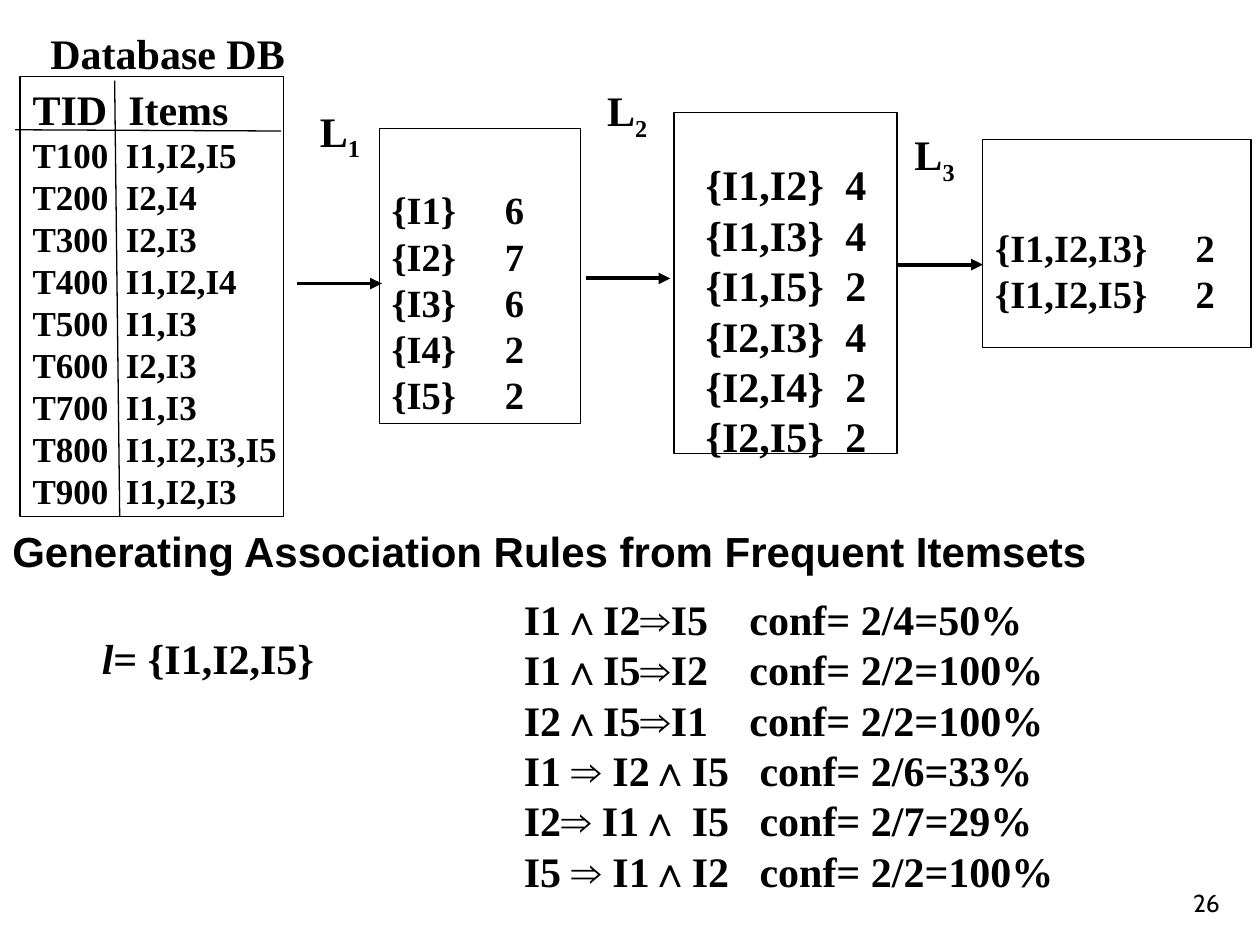
"""Build the slide on mining association rules from frequent itemsets."""
from dataclasses import dataclass

from lxml.etree import SubElement
from pptx import Presentation
from pptx.dml.color import RGBColor
from pptx.enum.shapes import MSO_CONNECTOR, MSO_SHAPE
from pptx.enum.text import MSO_ANCHOR, PP_ALIGN
from pptx.oxml.ns import qn
from pptx.slide import Slide
from pptx.text.text import TextFrame
from pptx.util import Inches, Pt

COLOURS = {"ink": "000000", "paper": "FFFFFF"}
SERIF = "Times New Roman"


@dataclass(frozen=True)
class Span:
    """A run of text with its look."""
    text: str
    size: float = 24
    font: str = SERIF
    bold: bool = True
    italic: bool = False
    baseline: int = 0


@dataclass(frozen=True)
class Line:
    """One paragraph, with an optional tab stop in inches."""
    spans: tuple[Span, ...]
    tab: float = 0


@dataclass(frozen=True)
class Label:
    """Free text placed on the page."""
    at: tuple[float, float, float, float]
    lines: tuple[Line, ...]
    align: PP_ALIGN = PP_ALIGN.LEFT
    anchor: MSO_ANCHOR = MSO_ANCHOR.TOP
    wrap: bool = False


@dataclass(frozen=True)
class Panel:
    """A bordered box of rows, with its left and top insets."""
    at: tuple[float, float, float, float]
    lines: tuple[Line, ...]
    top: float
    left: float = 0.1


@dataclass(frozen=True)
class Stroke:
    """A straight line, with or without an arrowhead."""
    start: tuple[float, float]
    end: tuple[float, float]
    width: float = 0.75
    arrow: bool = False


def colour(name: str) -> RGBColor:
    """Look up a named colour."""
    return RGBColor.from_string(COLOURS[name])


def row(*cells: str, size: float = 24, tab: float = 0) -> Line:
    """Make a line whose cells are parted by a tab."""
    return Line((Span("\t".join(cells), size),), tab)


def count_rows(counts: dict[str, int], size: float, tab: float) -> tuple[Line, ...]:
    """Make one row for each itemset and its support count."""
    return tuple(row(f"{{{items}}}", str(count), size=size, tab=tab)
                 for items, count in counts.items())


def arrow(left: float, level: float) -> Stroke:
    """Make a level arrow of the common length."""
    return Stroke((left, level), (left + 0.67, level), 2.25, True)


def write(frame: TextFrame, lines: tuple[Line, ...], align: PP_ALIGN = PP_ALIGN.LEFT) -> None:
    """Fill a text frame run by run."""
    for index, line in enumerate(lines):
        para = frame.paragraphs[0] if index == 0 else frame.add_paragraph()
        para.alignment = align
        para.line_spacing = Pt(1.2 * line.spans[0].size)
        if line.tab:
            stops = SubElement(para._p.get_or_add_pPr(), qn("a:tabLst"))
            SubElement(stops, qn("a:tab"), pos=str(Inches(line.tab)), algn="l")
        for span in line.spans:
            run = para.add_run()
            run.text = span.text
            run.font.name = span.font
            run.font.size = Pt(span.size)
            run.font.bold = span.bold
            run.font.italic = span.italic
            run.font.color.rgb = colour("ink")
            if span.baseline:
                run.font._element.set("baseline", str(span.baseline))


def draw_label(page: Slide, label: Label) -> None:
    """Draw free text."""
    box = page.shapes.add_textbox(*map(Inches, label.at))
    box.text_frame.word_wrap = label.wrap
    box.text_frame.vertical_anchor = label.anchor
    write(box.text_frame, label.lines, label.align)


def draw_panel(page: Slide, panel: Panel) -> None:
    """Draw a bordered box with its rows."""
    box = page.shapes.add_shape(MSO_SHAPE.RECTANGLE, *map(Inches, panel.at))
    box.shadow.inherit = False
    box.fill.solid()
    box.fill.fore_color.rgb = colour("paper")
    box.line.color.rgb = colour("ink")
    box.line.width = Pt(0.75)
    frame = box.text_frame
    frame.word_wrap = False
    frame.vertical_anchor = MSO_ANCHOR.TOP
    frame.margin_left, frame.margin_top = Inches(panel.left), Inches(panel.top)
    frame.margin_right = frame.margin_bottom = 0
    write(frame, panel.lines)


def draw_stroke(page: Slide, stroke: Stroke) -> None:
    """Draw a line or an arrow."""
    line = page.shapes.add_connector(MSO_CONNECTOR.STRAIGHT,
                                     *map(Inches, stroke.start + stroke.end))
    line.line.color.rgb = colour("ink")
    line.line.width = Pt(stroke.width)
    if stroke.arrow:
        SubElement(line.line._get_or_add_ln(), qn("a:tailEnd"), type="triangle")
    SubElement(line._element.spPr, qn("a:effectLst"))


BASKETS = ("I1,I2,I5", "I2,I4", "I2,I3", "I1,I2,I4", "I1,I3", "I2,I3", "I1,I3",
           "I1,I2,I3,I5", "I1,I2,I3")
TRANSACTIONS = (row("TID", "Items", tab=0.76),) + tuple(
    row(f"T{number}00", items, size=20, tab=0.74)
    for number, items in enumerate(BASKETS, 1))
PANELS = (
    Panel((0.16, 0.61, 2.09, 3.49), TRANSACTIONS, 0.05),
    Panel((3.01, 1.02, 1.6, 2.34),
          count_rows({"I1": 6, "I2": 7, "I3": 6, "I4": 2, "I5": 2}, 22, 0.9), 0.46),
    Panel((5.35, 0.89, 1.77, 2.71),
          count_rows({"I1,I2": 4, "I1,I3": 4, "I1,I5": 2, "I2,I3": 4, "I2,I4": 2,
                      "I2,I5": 2}, 24, 1.11), 0.37, 0.25),
    Panel((7.8, 1.11, 2.13, 1.65),
          count_rows({"I1,I2,I3": 2, "I1,I2,I5": 2}, 22, 1.59), 0.67),
)
STROKES = (
    Stroke((0.12, 1.03), (2.23, 1.04)),
    Stroke((0.91, 0.64), (0.95, 4.1)),
    arrow(2.36, 2.25),
    arrow(4.65, 2.21),
    arrow(7.13, 2.1),
)
RULES = (
    row("I1∧I2⇒I5", "conf= 2/4=50%", tab=1.79),
    row("I1∧I5⇒I2", "conf= 2/2=100%", tab=1.79),
    row("I2∧I5⇒I1", "conf= 2/2=100%", tab=1.79),
    row("I1 ⇒ I2∧I5", "conf= 2/6=33%", tab=1.87),
    row("I2⇒ I1∧ I5", "conf= 2/7=29%", tab=1.87),
    row("I5 ⇒ I1∧I2", "conf= 2/2=100%", tab=1.87),
)
LEVELS = tuple(
    Label((left, top, 0.53, 0.5), (Line((Span("L"), Span(str(level), baseline=-25000))),))
    for level, (left, top) in enumerate(((2.44, 0.84), (4.72, 0.68), (7.16, 1.03)), 1))
LABELS = LEVELS + (
    Label((0.14, 0.17, 2.38, 0.5), (row("Database DB"),), PP_ALIGN.CENTER, wrap=True),
    Label((0, 4.12, 8.74, 0.5),
          (Line((Span("Generating Association Rules from Frequent Itemsets", font="Arial"),)),)),
    Label((0.71, 4.97, 2.72, 0.5),
          (Line((Span("l", italic=True), Span("= {I1,I2,I5}"))),), wrap=True),
    Label((4.06, 4.66, 5.43, 2.5), RULES, wrap=True),
    Label((7.7, 6.83, 2.08, 0.5), (Line((Span("26", 14, "Cabin", False),)),),
          PP_ALIGN.RIGHT, MSO_ANCHOR.BOTTOM, True),
)


def main() -> None:
    """Build and save the deck."""
    deck = Presentation()
    deck.slide_width, deck.slide_height = Inches(10), Inches(7.5)
    page = deck.slides.add_slide(deck.slide_layouts[6])
    for panel in PANELS:
        draw_panel(page, panel)
    for stroke in STROKES:
        draw_stroke(page, stroke)
    for label in LABELS:
        draw_label(page, label)
    deck.save("out.pptx")


if __name__ == "__main__":
    main()
